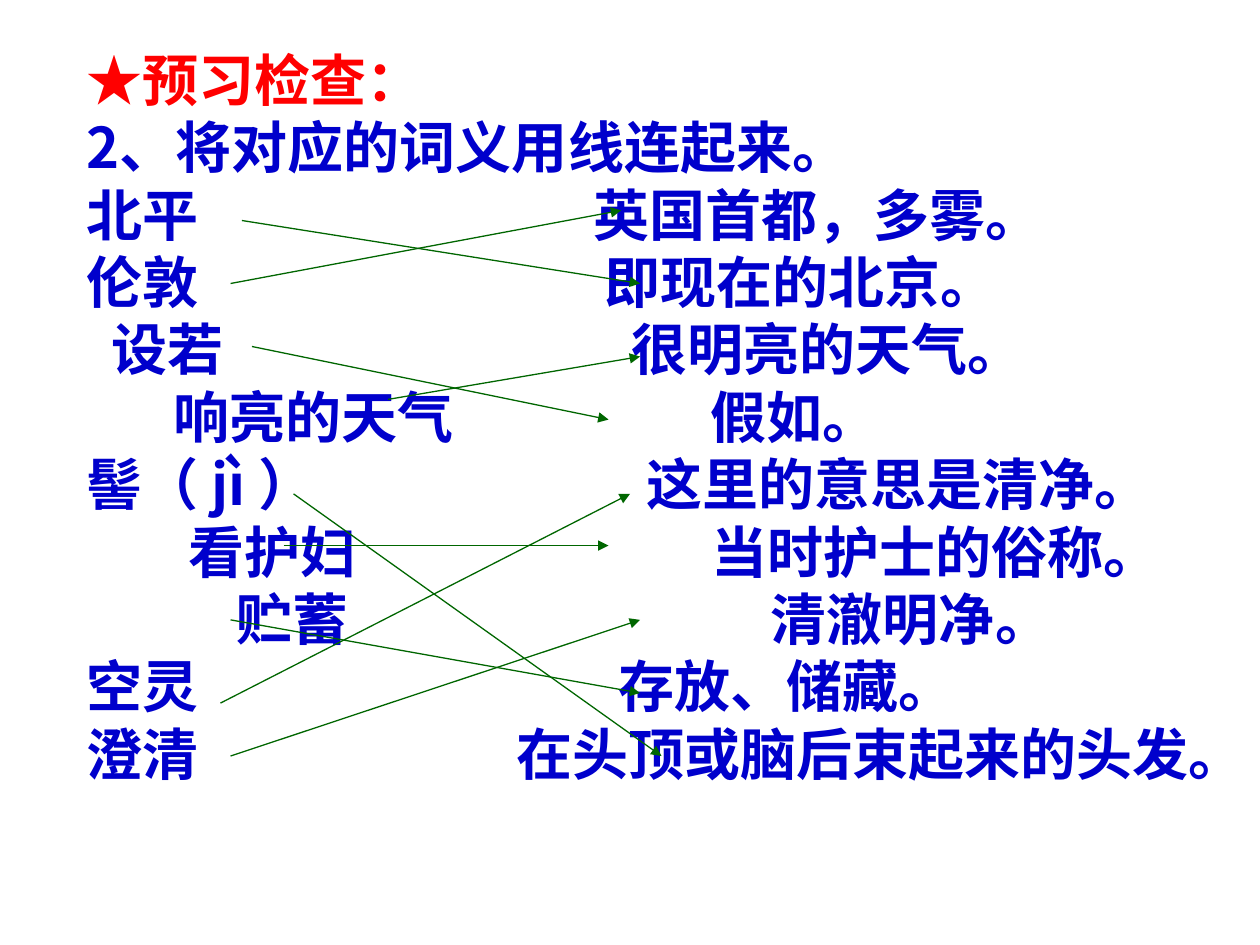
from lxml import etree
from pptx import Presentation
from pptx.dml.color import RGBColor
from pptx.enum.shapes import MSO_CONNECTOR as Connector
from pptx.enum.text import MSO_AUTO_SIZE as AutoSize
from pptx.oxml.ns import qn
from pptx.util import Inches, Pt

FONT = "Noto Sans CJK SC"
RED, BLUE, GREEN = "FF0000", "0000CC", "006600"

# Word, its tab stop, meaning, its tab stop (inches from the text edge)
WORD_ROWS = [
    ("北平", 0, "英国首都，多雾。", 4.02),
    ("伦敦", 0, "即现在的北京。", 4.11),
    ("设若", 0.2, "很明亮的天气。", 4.32),
    ("响亮的天气", 0.69, "假如。", 4.95),
    ("髻（ jì ）", 0, "这里的意思是清净。", 4.44),
    ("看护妇", 0.81, "当时护士的俗称。", 4.96),
    ("贮蓄", 1.19, "清澈明净。", 5.43),
    ("空灵", 0, "存放、储藏。", 4.22),
    ("澄清", 0, "在头顶或脑后束起来的头发。", 3.41),
]

# Start and end of each answer arrow
ANSWERS = [
    (1.92, 1.75, 5.08, 2.25),
    (1.83, 2.25, 4.93, 1.67),
    (2, 2.75, 4.83, 3.33),
    (3.08, 3.17, 5.08, 2.83),
    (2.33, 3.92, 5.25, 6),
    (2.25, 4.33, 4.83, 4.33),
    (1.83, 4.92, 5.08, 5.5),
    (1.75, 5.58, 5, 3.92),
    (1.83, 6, 5.08, 4.92),
]


def color(hex_code):
    return RGBColor.from_string(hex_code)


def add_exercise_box(slide):
    box = slide.shapes.add_textbox(Inches(0.59), Inches(0.28), Inches(9.41), Inches(6.5))
    frame = box.text_frame
    frame.word_wrap = True
    frame.auto_size = AutoSize.SHAPE_TO_FIT_TEXT
    frame.margin_top = Inches(0.08)
    return frame


def write_line(paragraph, text, size=32, hue=BLUE, bold=True, tabs=()):
    paragraph.line_spacing = Pt(38.5)
    if tabs:
        tab_list = etree.SubElement(paragraph._p.get_or_add_pPr(), qn("a:tabLst"))
        for stop in tabs:
            etree.SubElement(tab_list, qn("a:tab"), pos=str(Inches(stop)), algn="l")
    run = paragraph.add_run()
    run.text = text
    run.font.size = Pt(size)
    run.font.bold = bold
    run.font.name = FONT
    run.font.color.rgb = color(hue)
    etree.SubElement(run.font._element, qn("a:ea"), typeface=FONT)


def write_word_row(frame, word, word_left, meaning, meaning_left):
    indent = "\t" if word_left else ""
    stops = [stop for stop in (word_left, meaning_left) if stop]
    write_line(frame.add_paragraph(), f"{indent}{word}\t{meaning}", tabs=stops)


def add_answer_arrow(slide, *ends):
    arrow = slide.shapes.add_connector(Connector.STRAIGHT, *map(Inches, ends))
    arrow.line.width = Pt(0.75)
    arrow.line.color.rgb = color(GREEN)
    etree.SubElement(arrow.line._get_or_add_ln(), qn("a:tailEnd"), type="triangle")
    etree.SubElement(arrow._element.spPr, qn("a:effectLst"))


def main():
    deck = Presentation()
    deck.slide_width, deck.slide_height = Inches(10), Inches(7.5)
    slide = deck.slides.add_slide(deck.slide_layouts[6])

    # Heading, task and word list
    frame = add_exercise_box(slide)
    write_line(frame.paragraphs[0], "★预习检查：", hue=RED)
    write_line(frame.add_paragraph(), "2、将对应的词义用线连起来。")
    for row in WORD_ROWS:
        write_word_row(frame, *row)

    # Arrows that match words with meanings
    for ends in ANSWERS:
        add_answer_arrow(slide, *ends)

    deck.save("out.pptx")


if __name__ == "__main__":
    main()
